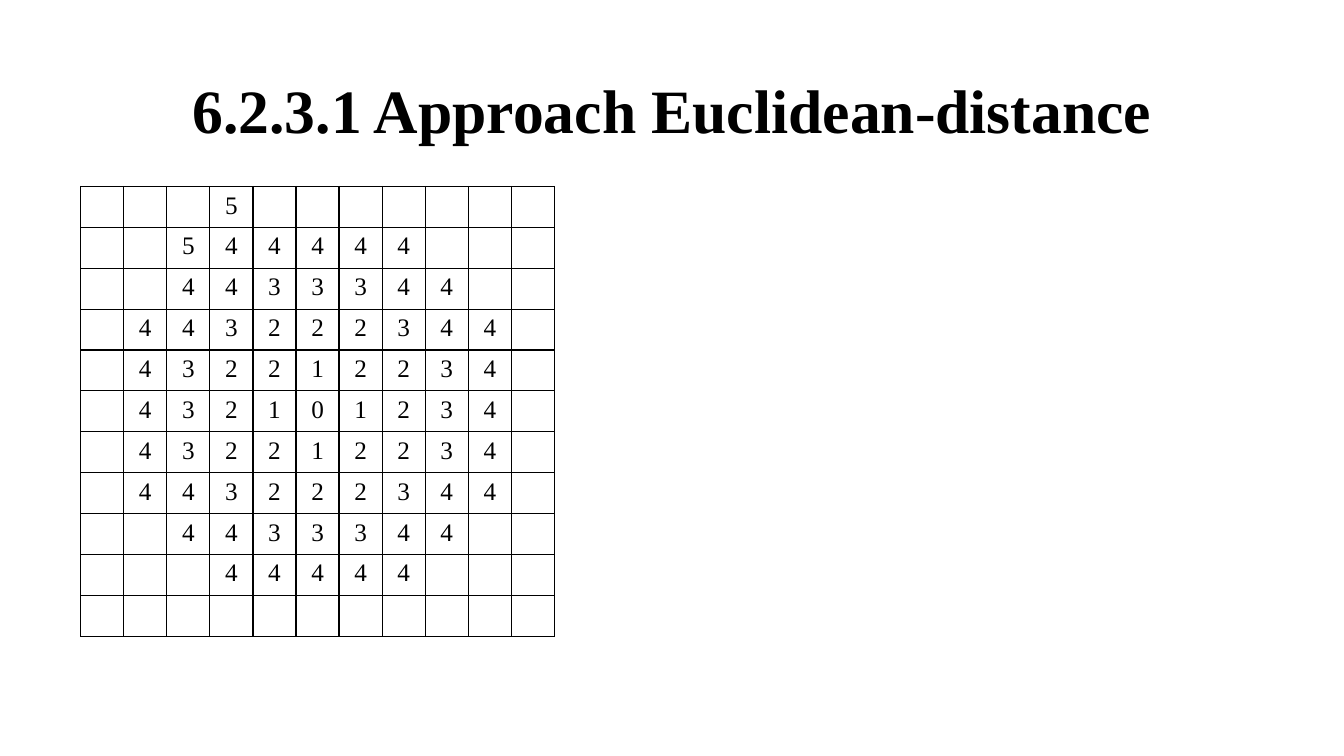
from dataclasses import dataclass

from lxml.etree import SubElement
from pptx import Presentation
from pptx.dml.color import RGBColor
from pptx.enum.text import MSO_ANCHOR, MSO_AUTO_SIZE, PP_ALIGN
from pptx.oxml.ns import qn
from pptx.slide import Slide
from pptx.table import _Cell
from pptx.text.text import _Paragraph
from pptx.util import Inches, Pt

FONT = "Times New Roman"
BLACK = "000000"


@dataclass(frozen=True)
class DistanceGrid:
    left: float
    top: float
    width: float
    height: float
    rows: tuple[str, ...]


DISTANCES = DistanceGrid(0.8, 1.85, 4.7, 4.46, (
    "...5.......",
    "..544444...",
    "..4433344..",
    ".443222344.",
    ".432212234.",
    ".432101234.",
    ".432212234.",
    ".443222344.",
    "..4433344..",
    "...44444...",
    "...........",
))


def color(value: str) -> RGBColor:
    return RGBColor.from_string(value)


def format_paragraph(p: _Paragraph, size: float, bold: bool = False) -> None:
    p.alignment = PP_ALIGN.CENTER
    for r in p.runs:
        r.font.name = FONT
        r.font.size = Pt(size)
        r.font.bold = bold
        r.font.color.rgb = color(BLACK)


def add_borders(cell: _Cell) -> None:
    properties = cell._tc.get_or_add_tcPr()
    for side in ("L", "R", "T", "B"):
        line = SubElement(properties, qn(f"a:ln{side}"), w=str(Pt(1)))
        fill = SubElement(line, qn("a:solidFill"))
        SubElement(fill, qn("a:srgbClr"), val=BLACK)


def draw_title(s: Slide, text: str) -> None:
    sp = s.shapes.title
    sp.left, sp.top = Inches(0.92), Inches(0.4)
    sp.width, sp.height = Inches(11.5), Inches(1.45)
    tf = sp.text_frame
    tf.text = text
    tf.word_wrap = True
    tf.auto_size = MSO_AUTO_SIZE.NONE
    tf.vertical_anchor = MSO_ANCHOR.MIDDLE
    p = tf.paragraphs[0]
    p.line_spacing = 0.9
    format_paragraph(p, 44, bold=True)


def draw_grid(s: Slide, grid: DistanceGrid) -> None:
    table = s.shapes.add_table(
        len(grid.rows), len(grid.rows[0]),
        Inches(grid.left), Inches(grid.top),
        Inches(grid.width), Inches(grid.height),
    ).table
    table.first_row = False
    table.horz_banding = False
    for i, row in enumerate(grid.rows):
        for j, distance in enumerate(row):
            cell = table.cell(i, j)
            add_borders(cell)
            cell.fill.background()
            if distance != ".":
                cell.text_frame.text = distance
                format_paragraph(cell.text_frame.paragraphs[0], 18)


def main() -> None:
    prs = Presentation()
    prs.slide_width, prs.slide_height = Inches(13.33), Inches(7.5)
    s = prs.slides.add_slide(prs.slide_layouts[5])
    draw_title(s, "6.2.3.1 Approach Euclidean-distance")
    draw_grid(s, DISTANCES)
    prs.save("out.pptx")


if __name__ == "__main__":
    main()
